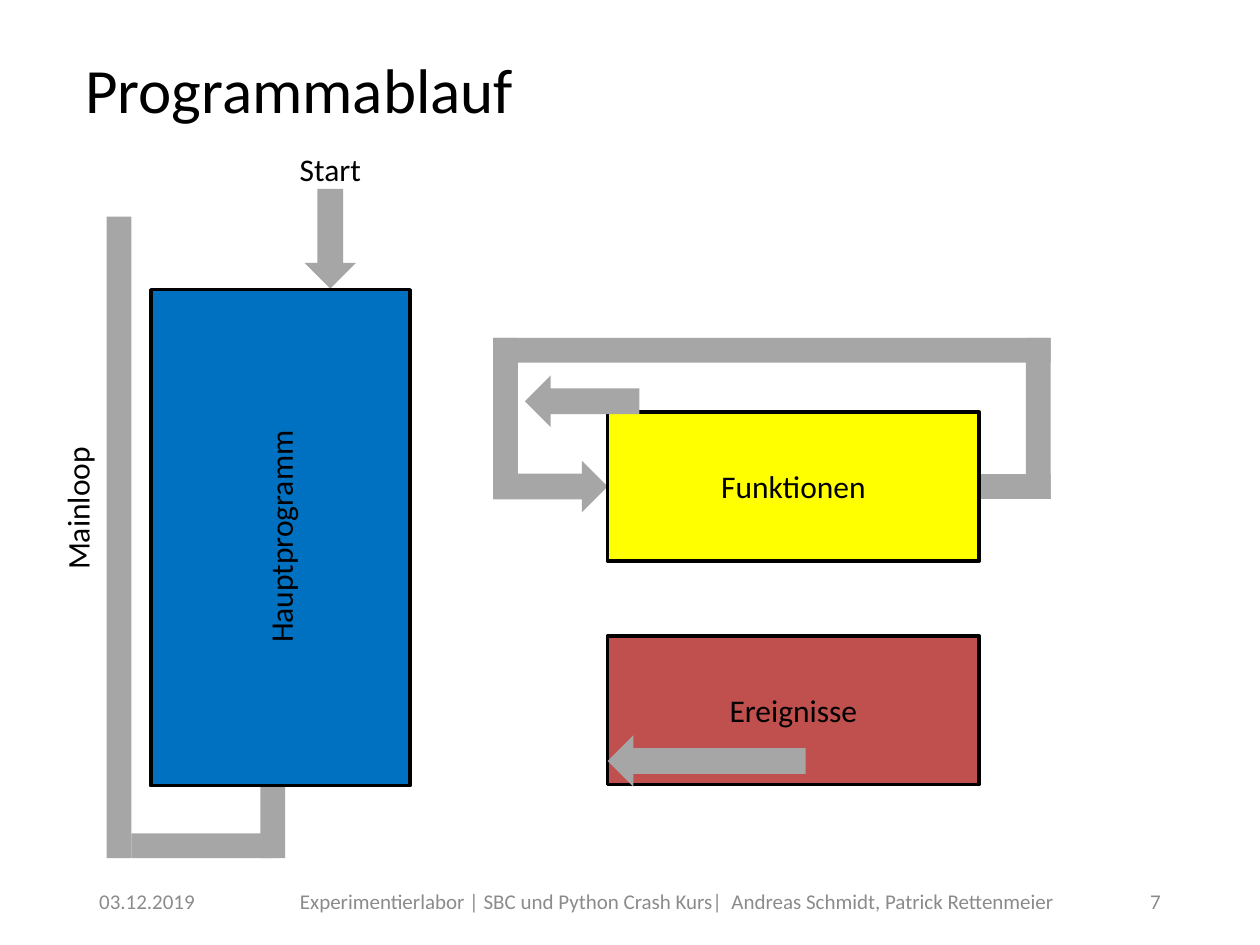
from pptx import Presentation
from pptx.dml.color import RGBColor
from pptx.enum.shapes import MSO_SHAPE
from pptx.enum.text import MSO_ANCHOR, PP_ALIGN
from pptx.util import Cm, Pt

COLORS = {
    "flow": "A6A6A6",
    "main": "0070C0",
    "functions": "FFFF00",
    "events": "C0504D",
    "ink": "000000",
    "footer": "8B8B8B",
}
BAR = 0.5
ARROW = 1.04
LABEL = 1.02


def add_block(slide, left, top, width, height, color, kind=MSO_SHAPE.RECTANGLE, outlined=False):
    block = slide.shapes.add_shape(kind, Cm(left), Cm(top), Cm(width), Cm(height))
    block.shadow.inherit = False
    block.fill.solid()
    block.fill.fore_color.rgb = RGBColor.from_string(COLORS[color])
    if outlined:
        block.line.color.rgb = RGBColor.from_string(COLORS["ink"])
        block.line.width = Pt(2)
    else:
        block.line.fill.background()


def add_label(slide, left, top, width, height, text, size=18, color="ink",
              align=PP_ALIGN.CENTER, anchor=MSO_ANCHOR.TOP, rotation=0):
    label = slide.shapes.add_textbox(Cm(left), Cm(top), Cm(width), Cm(height))
    label.rotation = rotation
    frame = label.text_frame
    frame.word_wrap = True
    frame.vertical_anchor = anchor
    paragraph = frame.paragraphs[0]
    paragraph.alignment = align
    run = paragraph.add_run()
    run.text = text
    run.font.name = "Calibri"
    run.font.size = Pt(size)
    run.font.color.rgb = RGBColor.from_string(COLORS[color])


def add_title(slide, left, top, width, height):
    add_label(slide, left, top, width, height, "Programmablauf", size=36, align=PP_ALIGN.LEFT)


def add_main_program(slide, left, top, width, height):
    bottom = top + height
    loop_left = left - 0.89
    loop_bottom = bottom + 1.46
    stub_left = left + 2.21
    center_x = left + width / 2
    center_y = top + height / 2
    start_x = left + 3.62
    start_width = 1.84
    mainloop_width = 3.1

    add_block(slide, start_x - ARROW / 2, top - 2.03, ARROW, 2.01, "flow", MSO_SHAPE.DOWN_ARROW)
    add_block(slide, loop_left, top - 1.47, BAR, loop_bottom - top + 1.47, "flow")
    add_block(slide, loop_left + BAR, loop_bottom - BAR, stub_left - loop_left - BAR / 2, BAR, "flow")
    add_block(slide, stub_left, bottom - 0.23, BAR, loop_bottom - bottom + 0.23, "flow")
    add_block(slide, left, top, width, height, "main", outlined=True)

    add_label(slide, start_x - start_width / 2, top - 2.95, start_width, LABEL, "Start")
    add_label(slide, loop_left - 0.59 - mainloop_width / 2, center_y - 1.1, mainloop_width, LABEL,
              "Mainloop", rotation=270)
    add_label(slide, center_x - height / 2, center_y - LABEL / 2 - 0.02, height, LABEL,
              "Hauptprogramm", rotation=270)


def add_functions(slide, left, top, width, height):
    loop_left = left - 2.31
    loop_top = top - 1.5
    loop_right = left + width + 1.44
    center_y = top + height / 2
    loop_height = center_y + BAR / 2 - loop_top

    add_block(slide, loop_left, center_y - ARROW / 2, left - loop_left, ARROW, "flow",
              MSO_SHAPE.RIGHT_ARROW)
    add_block(slide, loop_left, loop_top, BAR, loop_height, "flow")
    add_block(slide, loop_right - 2.87, center_y - BAR / 2, 2.87, BAR, "flow")
    add_block(slide, left, top, width, height, "functions", outlined=True)
    add_block(slide, loop_left, loop_top, loop_right - loop_left, BAR, "flow")
    add_block(slide, loop_right - BAR, loop_top, BAR, loop_height, "flow")
    add_label(slide, left, center_y - LABEL / 2, width, LABEL, "Funktionen")
    add_block(slide, left - 1.67, top - 0.74, 2.31, ARROW, "flow", MSO_SHAPE.LEFT_ARROW)


def add_events(slide, left, top, width, height):
    add_block(slide, left, top, width, height, "events", outlined=True)
    add_block(slide, left, top + height - 1, 3.99, ARROW, "flow", MSO_SHAPE.LEFT_ARROW)
    add_label(slide, left, top + (height - LABEL) / 2, width, LABEL, "Ereignisse")


def add_footer(slide, left, top, width, height):
    side_width = 5.72
    course = "Experimentierlabor | SBC und Python Crash Kurs|  Andreas Schmidt, Patrick Rettenmeier"
    for offset, part_width, text, align in (
        (0, side_width, "03.12.2019", PP_ALIGN.LEFT),
        (0.87, 22.07, course, PP_ALIGN.CENTER),
        (width - side_width, side_width, "7", PP_ALIGN.RIGHT),
    ):
        add_label(slide, left + offset, top, part_width, height, text, size=12,
                  color="footer", align=align, anchor=MSO_ANCHOR.MIDDLE)


def main():
    presentation = Presentation()
    presentation.slide_width = Cm(25.4)
    presentation.slide_height = Cm(19.05)
    slide = presentation.slides.add_slide(presentation.slide_layouts[6])
    add_title(slide, 1.47, 0.89, 19.05, 1.78)
    add_main_program(slide, 3.04, 5.84, 5.23, 10)
    add_functions(slide, 12.25, 8.31, 7.49, 3)
    add_events(slide, 12.25, 12.82, 7.49, 3)
    add_footer(slide, 1.75, 17.65, 21.9, 1.02)
    presentation.save("out.pptx")


if __name__ == "__main__":
    main()
